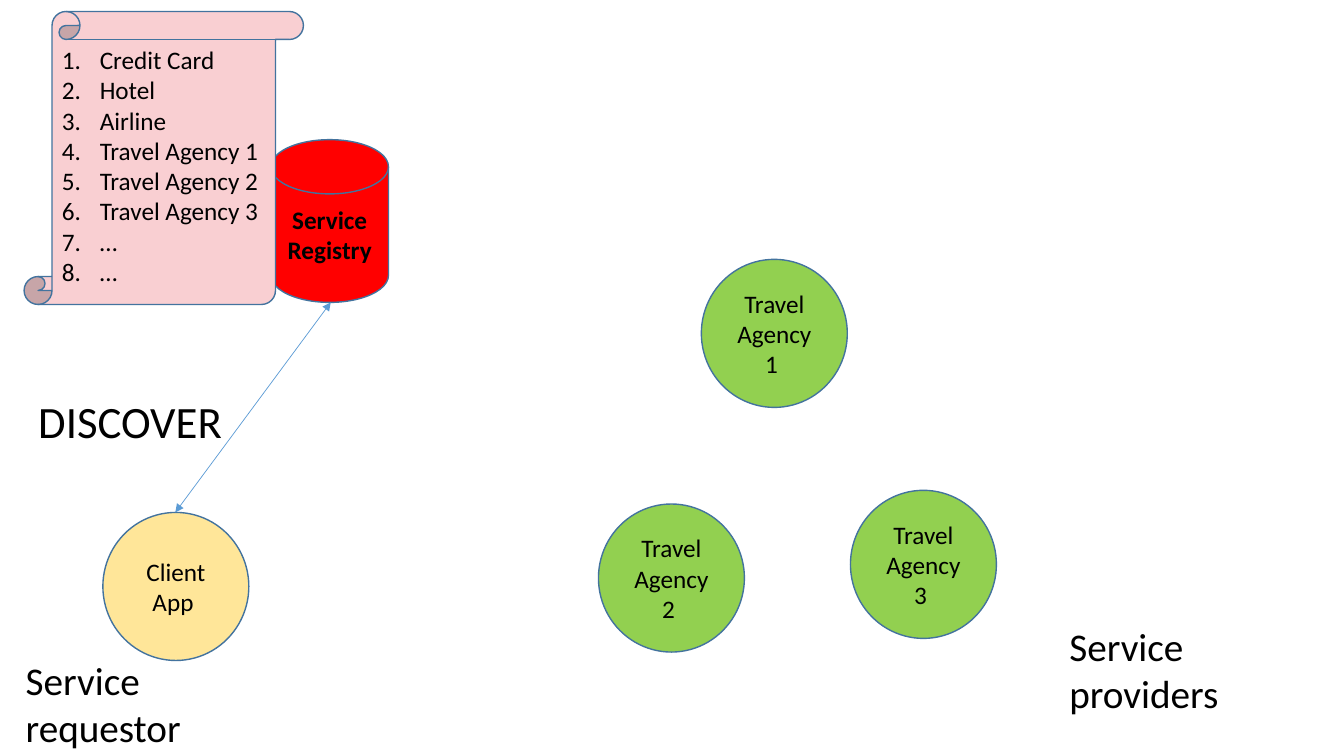
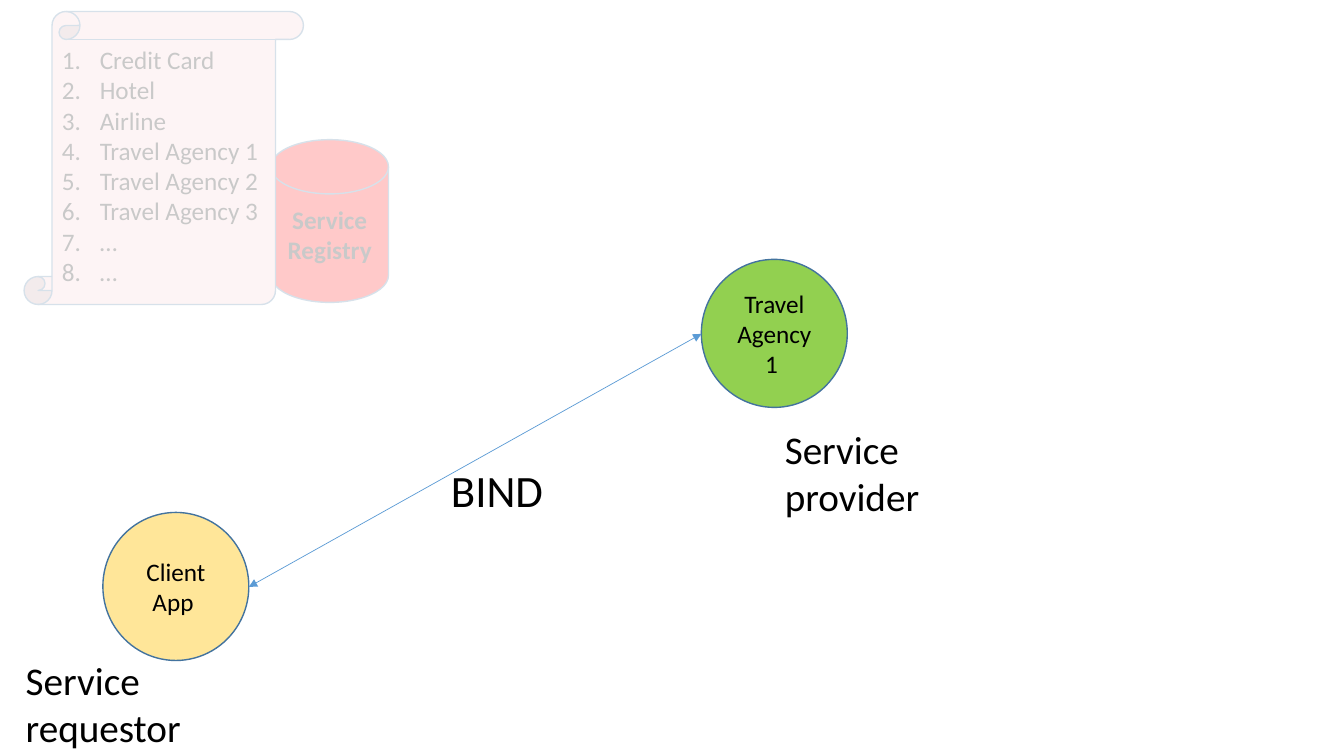
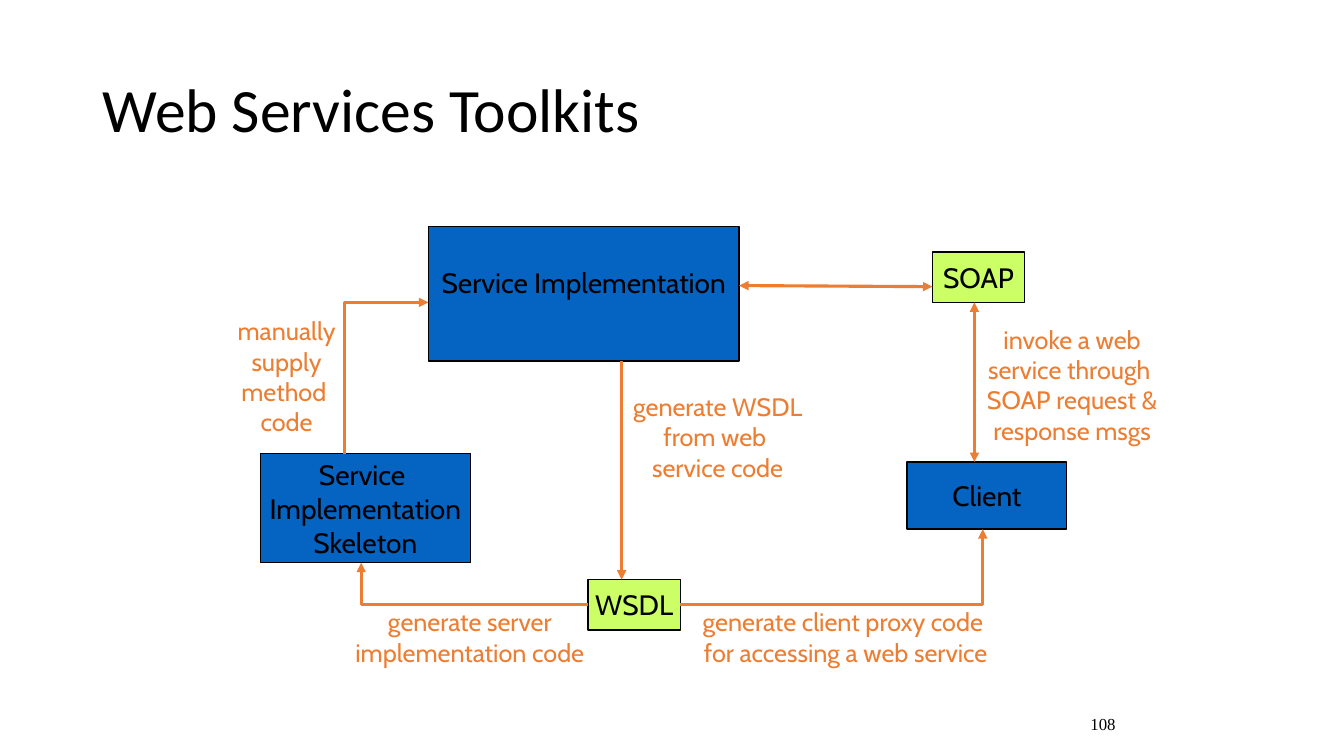
from lxml import etree
from pptx import Presentation
from pptx.dml.color import RGBColor
from pptx.enum.shapes import MSO_CONNECTOR, MSO_SHAPE
from pptx.enum.text import MSO_ANCHOR, MSO_AUTO_SIZE, PP_ALIGN
from pptx.oxml.ns import qn
from pptx.util import Pt

PX = 9525  # EMU per px, 96 px to the inch

BLACK = RGBColor(0x00, 0x00, 0x00)
WHITE = RGBColor(0xFF, 0xFF, 0xFF)
OUTLINE = RGBColor(0x43, 0x73, 0x9E)
ARROW_BLUE = RGBColor(0x5B, 0x9B, 0xD5)
AGENCY_GREEN = RGBColor(0x92, 0xD0, 0x50)
CLIENT_YELLOW = RGBColor(0xFF, 0xE6, 0x99)
REGISTRY_RED = RGBColor(0xFF, 0x00, 0x00)
SCROLL_PINK = RGBColor(0xF9, 0xCF, 0xD2)
CODE_BLUE = RGBColor(0x05, 0x63, 0xC1)
FORMAT_LIME = RGBColor(0xCC, 0xFF, 0x66)
FLOW_ORANGE = RGBColor(0xED, 0x7D, 0x31)

BODY_FONT, DIAGRAM_FONT, NUMBER_FONT = "Calibri", "Cabin", "Times New Roman"

CIRCLE = MSO_SHAPE.FLOWCHART_CONNECTOR
DISK = MSO_SHAPE.FLOWCHART_MAGNETIC_DISK
SCROLL = MSO_SHAPE.VERTICAL_SCROLL
RECTANGLE = MSO_SHAPE.RECTANGLE
ROUNDED = MSO_SHAPE.ROUNDED_RECTANGLE
STRAIGHT = MSO_CONNECTOR.STRAIGHT
LEFT, CENTER, RIGHT = PP_ALIGN.LEFT, PP_ALIGN.CENTER, PP_ALIGN.RIGHT
TOP, MIDDLE, BOTTOM = MSO_ANCHOR.TOP, MSO_ANCHOR.MIDDLE, MSO_ANCHOR.BOTTOM
NO_AUTOFIT = MSO_AUTO_SIZE.NONE

TITLE_ONLY, BLANK = 5, 6  # layouts of the default template

CIRCLE_W, CIRCLE_H = 139, 141
CLIENT_AT = (98, 488)
AGENCY_1_AT = (668, 247)
REGISTRY_AT = (23, 11)
SERVICES = ["Credit Card", "Hotel", "Airline", "Travel Agency 1",
            "Travel Agency 2", "Travel Agency 3", "…", "…"]


def emu(*lengths):
    return [length * PX for length in lengths]


# Shared parts
def write(frame, text, size, font=BODY_FONT, color=BLACK, bold=False,
          align=LEFT, anchor=TOP, wrap=True):
    frame.text = text
    frame.word_wrap = wrap
    frame.auto_size = NO_AUTOFIT
    frame.vertical_anchor = anchor
    for paragraph in frame.paragraphs:
        paragraph.alignment = align
        for run in paragraph.runs:
            run.font.name = font
            run.font.size = Pt(size)
            run.font.bold = bold
            run.font.color.rgb = color


def add_label(slide, box, text, size, **style):
    label = slide.shapes.add_textbox(*emu(*box))
    write(label.text_frame, text, size, **style)


def add_block(slide, preset, box, fill, line=OUTLINE):
    block = slide.shapes.add_shape(preset, *emu(*box))
    block.shadow.inherit = False
    block.fill.solid()
    block.fill.fore_color.rgb = fill
    if line is None:
        block.line.fill.background()
    else:
        block.line.color.rgb = line
        block.line.width = Pt(1)
    return block


def style_arrow(arrow, color, width, both):
    arrow.line.color.rgb = color
    arrow.line.width = Pt(width)
    line = arrow.line._get_or_add_ln()
    for end in ("a:headEnd", "a:tailEnd") if both else ("a:tailEnd",):
        etree.SubElement(line, qn(end), type="triangle")


def add_arrow(slide, start, end, color, width, both=True):
    arrow = slide.shapes.add_connector(STRAIGHT, *emu(*start, *end))
    style_arrow(arrow, color, width, both)
    etree.SubElement(arrow._element.spPr, qn("a:effectLst"))


def add_bent_arrow(slide, points, color, width):
    first, *rest = [tuple(emu(*point)) for point in points]
    builder = slide.shapes.build_freeform(*first)
    builder.add_line_segments(rest, close=False)
    arrow = builder.convert_to_shape()
    arrow.fill.background()
    style_arrow(arrow, color, width, both=False)
    arrow.shadow.inherit = False


# Parts of the discovery slides
def add_party(slide, at, name, fill):
    circle = add_block(slide, CIRCLE, (*at, CIRCLE_W, CIRCLE_H), fill)
    write(circle.text_frame, name, 18, align=CENTER, anchor=MIDDLE)


def add_client(slide):
    add_party(slide, CLIENT_AT, "Client App ", CLIENT_YELLOW)
    add_label(slide, (15, 620, 243, 100), "Service requestor", 28)


def add_agency(slide, at, number):
    add_party(slide, at, f"Travel Agency {number} ", AGENCY_GREEN)


def add_registry(slide, at):
    left, top = at
    disk = add_block(slide, DISK, (left + 235, top + 122, 112, 155), REGISTRY_RED)
    write(disk.text_frame, "Service Registry", 18, bold=True,
          align=CENTER, anchor=MIDDLE)

    scroll = add_block(slide, SCROLL, (left, top, 266, 279), SCROLL_PINK)
    scroll.adjustments[0] = 0.1
    write(scroll.text_frame, "\n".join(SERVICES), 18)
    for paragraph in scroll.text_frame.paragraphs:
        properties = paragraph._p.get_or_add_pPr()
        properties.set("marL", str(36 * PX))
        properties.set("indent", str(-36 * PX))
        etree.SubElement(properties, qn("a:buFont"), typeface="+mj-lt")
        etree.SubElement(properties, qn("a:buAutoNum"), type="arabicPeriod")


def add_veil(slide, box):
    veil = add_block(slide, ROUNDED, box, WHITE, line=None)
    color = veil._element.spPr.find(qn("a:solidFill")).find(qn("a:srgbClr"))
    etree.SubElement(color, qn("a:alpha"), val="79000")


# Slides
def discover_slide(prs):
    slide = prs.slides.add_slide(prs.slide_layouts[BLANK])
    for number, at in enumerate([AGENCY_1_AT, (570, 480), (810, 467)], 1):
        add_agency(slide, at, number)
    add_client(slide)
    add_registry(slide, REGISTRY_AT)
    add_label(slide, (27, 370, 210, 61), "DISCOVER", 32)
    add_arrow(slide, (167, 488), (315, 288), ARROW_BLUE, 0.5)
    add_label(slide, (1009, 588, 243, 100), "Service providers", 28)


def bind_slide(prs):
    slide = prs.slides.add_slide(prs.slide_layouts[BLANK])
    add_agency(slide, AGENCY_1_AT, 1)
    add_client(slide)
    add_registry(slide, REGISTRY_AT)
    add_label(slide, (738, 400, 243, 100), "Service provider", 28)
    add_arrow(slide, (237, 559), (668, 318), ARROW_BLUE, 0.5)
    add_label(slide, (420, 436, 186, 61), "BIND", 32)
    add_veil(slide, (0, 1, 459, 369))


def add_toolkit_diagram(slide, left, top):
    def place(x, y, *size):
        return (left + x, top + y, *size)

    # Components and the formats between them
    components = [
        ((192, 0, 296, 128), "Service Implementation", CODE_BLUE, 23),
        ((672, 24, 88, 48), "SOAP", FORMAT_LIME, 0),
        ((648, 224, 152, 64), "Client", CODE_BLUE, 0),
        ((344, 336, 88, 48), "WSDL", FORMAT_LIME, 0),
        ((32, 216, 200, 104), "Service \nImplementation\nSkeleton", CODE_BLUE, 0),
    ]
    for box, name, fill, lift in components:
        component = add_block(slide, RECTANGLE, place(*box), fill, BLACK)
        write(component.text_frame, name, 20, font=DIAGRAM_FONT,
              align=CENTER, anchor=MIDDLE, wrap=False)
        component.text_frame.margin_bottom += lift * PX

    # Flow between the components
    bends = [
        [(344, 360), (128, 360), (128, 320)],
        [(112, 216), (112, 72), (192, 72)],
        [(432, 360), (720, 360), (720, 288)],
    ]
    for points in bends:
        add_bent_arrow(slide, [place(*point) for point in points], FLOW_ORANGE, 2.25)
    straights = [
        ((488, 56), (672, 57), True),
        ((712, 72), (712, 224), True),
        ((376, 128), (376, 336), False),
    ]
    for start, end, both in straights:
        add_arrow(slide, place(*start), place(*end), FLOW_ORANGE, 2.25, both)

    # What each step does
    steps = [
        ((706, 88, 198, 154),
         "invoke a web\nservice through \nSOAP request &\nresponse msgs"),
        ((435, 357, 309, 67),
         "generate client proxy code \nfor accessing a web service"),
        ((111, 357, 241, 67), "generate server\nimplementation code"),
        ((0, 80, 114, 125), "manually\nsupply\nmethod \ncode"),
        ((375, 152, 185, 97), "generate WSDL\nfrom web \nservice code"),
    ]
    for box, text in steps:
        add_label(slide, place(*box), text, 18, font=DIAGRAM_FONT,
                  color=FLOW_ORANGE, align=CENTER, wrap=False)


def toolkit_slide(prs):
    slide = prs.slides.add_slide(prs.slide_layouts[TITLE_ONLY])
    title = slide.shapes.title
    title.left, title.top, title.width, title.height = emu(88, 38, 1104, 139)
    write(title.text_frame, "Web Services Toolkits", 44, anchor=MIDDLE)
    title.text_frame.paragraphs[0].line_spacing = 0.9
    add_toolkit_diagram(slide, 216, 216)
    add_label(slide, (848, 656, 224, 48), "108", 12, font=NUMBER_FONT,
              align=RIGHT, anchor=BOTTOM)


def main():
    prs = Presentation()
    prs.slide_width, prs.slide_height = emu(1280, 720)
    discover_slide(prs)
    bind_slide(prs)
    toolkit_slide(prs)
    prs.save("out.pptx")


if __name__ == "__main__":
    main()
